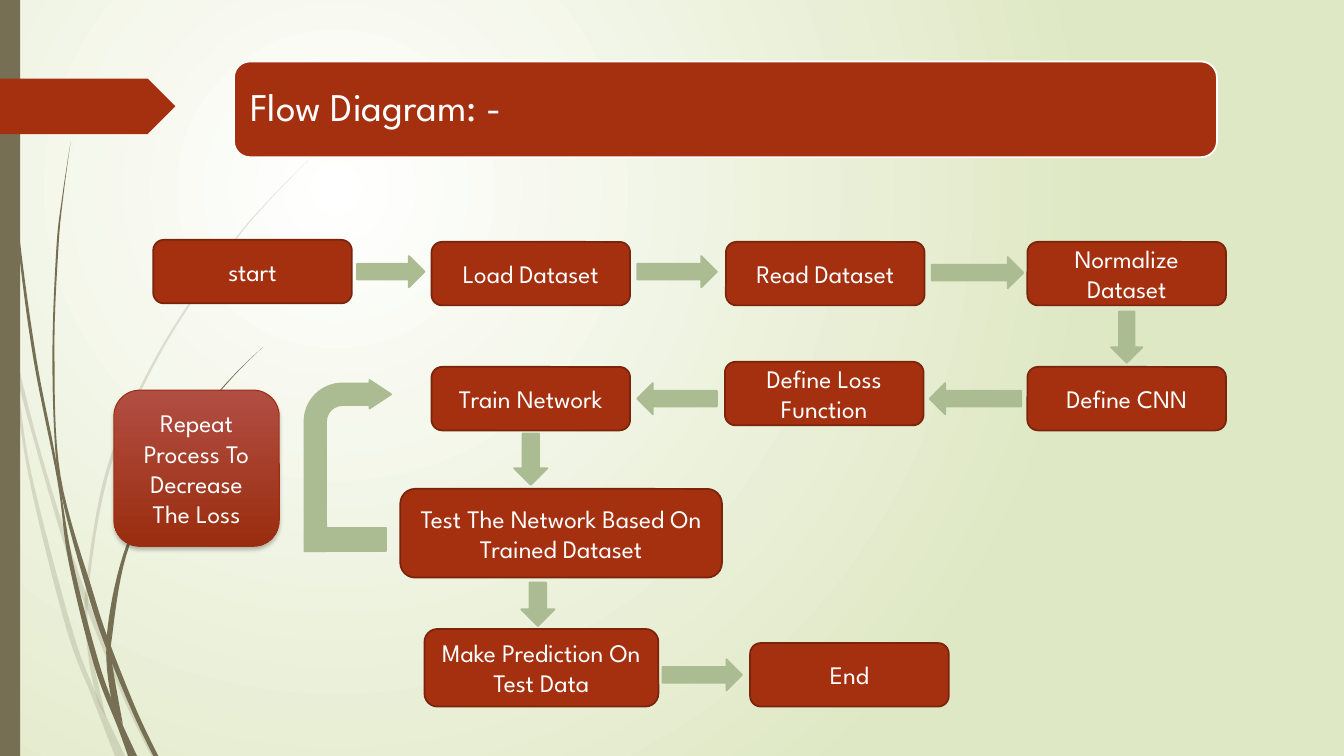
from typing import NamedTuple

from lxml import etree
from pptx import Presentation
from pptx.dml.color import RGBColor
from pptx.enum import shapes, text
from pptx.oxml import ns
from pptx.util import Inches, Pt

FONT = "League Spartan"
RUST, RUST_EDGE, SAGE, OLIVE, WHITE = "A53010", "7A240C", "ACBC92", "766F54", "FFFFFF"
STEP_W, STEP_H = 1.97, 0.63
Geometry = shapes.MSO_SHAPE
Point = tuple[float, float]


class Step(NamedTuple):
    label: str
    left: float
    top: float
    width: float = STEP_W
    height: float = STEP_H


class Arrow(NamedTuple):
    geometry: Geometry
    left: float
    top: float
    width: float
    height: float
    adjustments: tuple[float, ...] = ()


class Strand(NamedTuple):
    left_edge: list[Point]
    right_edge: list[Point]
    opacity: int


STRANDS = [
    Strand([(0, 2.99), (0.17, 3.76), (0.58, 5.22), (0.84, 5.99), (1.23, 6.94), (1.5, 7.5)],
           [(0, 2.82), (0.14, 3.45), (0.36, 4.33), (0.62, 5.2), (0.88, 5.96), (1.27, 6.92),
            (1.55, 7.5)], 20),
    Strand([(0.11, 3.5), (0.28, 4.7), (0.65, 6.21), (0.92, 6.93), (1.14, 7.5)],
           [(0.11, 3.5), (0.17, 3.76), (0.31, 4.69), (0.7, 6.19), (0.93, 6.83), (1.24, 7.5)], 20),
    Strand([(3.12, 1.53), (2.68, 1.97), (2.28, 2.44), (1.58, 3.48), (1.07, 4.61), (0.85, 5.84),
            (0.87, 6.46), (0.96, 6.92), (1.05, 7.11)],
           [(3.12, 1.53), (2.68, 1.98), (2.29, 2.45), (1.6, 3.49), (1.1, 4.62), (0.88, 5.84),
            (0.91, 6.46), (1.05, 7.11)], 20),
    Strand([(0.03, 0), (0.07, 1.1), (0.17, 2.33), (0.33, 3.55), (0.57, 4.77), (0.68, 5.57),
            (0.93, 6.59), (1.17, 7.22), (1.27, 7.5)],
           [(0.04, 0), (0.08, 1.09), (0.19, 2.32), (0.36, 3.55), (0.55, 4.53), (0.72, 5.56),
            (0.98, 6.57), (1.16, 7.06), (1.36, 7.5)], 100),
    Strand([(0.7, 1.41), (0.62, 1.93), (0.56, 2.45), (0.52, 3.49), (0.55, 4.49), (0.64, 5.05),
            (0.88, 5.92), (1.06, 6.45), (1.32, 7.08), (1.52, 7.5)],
           [(0.7, 1.41), (0.63, 1.93), (0.58, 2.45), (0.54, 3.49), (0.6, 4.72), (0.93, 5.9),
            (1.1, 6.41), (1.36, 7.06), (1.57, 7.5)], 100),
    Strand([(2.61, 3.44), (2.31, 3.73), (2.04, 4.05), (1.56, 4.74), (1.22, 5.51), (1.06, 6.31),
            (1.1, 6.91), (1.22, 7.19)],
           [(2.61, 3.44), (2.31, 3.74), (2.05, 4.06), (1.58, 4.76), (1.25, 5.52), (1.11, 6.33),
            (1.11, 6.56), (1.22, 7.19)], 100),
]

STEPS = [
    Step("start", 1.52, 2.38),
    Step("Load Dataset", 4.28, 2.4),
    Step("Read Dataset", 7.2, 2.4),
    Step("Normalize Dataset", 10.19, 2.4),
    Step("Define CNN", 10.19, 3.64),
    Step("Define Loss Function", 7.19, 3.59),
    Step("Train Network", 4.28, 3.64),
    Step("Test The Network Based On Trained Dataset", 3.97, 4.85, 3.19, 0.88),
    Step("Make Prediction On Test Data", 4.21, 6.24, 2.32, 0.77),
    Step("End", 7.44, 6.38),
]
REPEAT = Step("Repeat Process To Decrease The Loss", 1.13, 3.87, 1.64, 1.55)

ARROWS = [
    Arrow(Geometry.BENT_ARROW, 3.02, 3.77, 0.86, 1.7, (0.25, 0.165, 0.25, 0.438)),
    Arrow(Geometry.MATH_MINUS, 2.94, 4.86, 1.02, 0.98),
    Arrow(Geometry.RIGHT_ARROW, 3.54, 2.54, 0.67, 0.31),
    Arrow(Geometry.RIGHT_ARROW, 6.32, 2.54, 0.79, 0.31),
    Arrow(Geometry.RIGHT_ARROW, 9.24, 2.55, 0.91, 0.31),
    Arrow(Geometry.DOWN_ARROW, 11.02, 3.09, 0.31, 0.51),
    Arrow(Geometry.LEFT_ARROW, 9.22, 3.8, 0.91, 0.31),
    Arrow(Geometry.LEFT_ARROW, 6.32, 3.8, 0.79, 0.31),
    Arrow(Geometry.DOWN_ARROW, 5.1, 4.3, 0.33, 0.51),
    Arrow(Geometry.DOWN_ARROW, 5.17, 5.78, 0.33, 0.43),
    Arrow(Geometry.RIGHT_ARROW, 6.57, 6.54, 0.79, 0.31),
]


def rgb(value: str) -> RGBColor:
    return RGBColor.from_string(value)


def add_child(parent, tag: str, **attributes):
    return etree.SubElement(parent, ns.qn(tag), {k: str(v) for k, v in attributes.items()})


def paint(shape, fill: str, line: str | None = None, weight: float = 1.25) -> None:
    shape.shadow.inherit = False
    shape.fill.solid()
    shape.fill.fore_color.rgb = rgb(fill)
    if line is None:
        shape.line.fill.background()
    else:
        shape.line.color.rgb = rgb(line)
        shape.line.width = Pt(weight)


def add_preset(slide, geometry: Geometry, left: float, top: float, width: float, height: float):
    return slide.shapes.add_shape(geometry, *map(Inches, (left, top, width, height)))


def write(shape, words: str, size: float, align: text.PP_ALIGN) -> None:
    frame = shape.text_frame
    frame.text = words
    frame.word_wrap = True
    frame.vertical_anchor = text.MSO_ANCHOR.MIDDLE
    paragraph = frame.paragraphs[0]
    paragraph.alignment = align
    font = paragraph.runs[0].font
    font.name, font.size = FONT, Pt(size)
    font.color.rgb = rgb(WHITE)


def set_gradient(fill, start: str, end: str) -> None:
    fill.gradient()
    for stop, color in zip(fill.gradient_stops, (start, end)):
        stop.color.rgb = rgb(color)


def smooth(points: list[Point], parts: int = 8) -> list[Point]:
    padded = [points[0], *points, points[-1]]
    curve = []
    for a, b, c, d in zip(padded, padded[1:], padded[2:], padded[3:]):
        for t in (i / parts for i in range(parts)):
            curve.append(tuple(
                q + 0.5 * t * (r - p + t * (2 * p - 5 * q + 4 * r - s + t * (3 * (q - r) + s - p)))
                for p, q, r, s in zip(a, b, c, d)))
    return [*curve, points[-1]]


def add_strand(slide, strand: Strand) -> None:
    outline = [(Inches(x), Inches(y))
               for x, y in smooth(strand.left_edge) + smooth(strand.right_edge)[::-1]]
    builder = slide.shapes.build_freeform(*outline[0])
    builder.add_line_segments(outline[1:], close=True)
    blade = builder.convert_to_shape()
    paint(blade, OLIVE)
    color = blade._element.spPr.find(ns.qn("a:solidFill"))[0]
    add_child(color, "a:alpha", val=strand.opacity * 1000)


def add_step(slide, step: Step):
    box = add_preset(slide, Geometry.ROUNDED_RECTANGLE, *step[1:])
    paint(box, RUST, RUST_EDGE)
    write(box, step.label, 18, text.PP_ALIGN.CENTER)
    return box


def add_arrow(slide, arrow: Arrow) -> None:
    shape = add_preset(slide, arrow.geometry, *arrow[1:5])
    for index, value in enumerate(arrow.adjustments):
        shape.adjustments[index] = value
    paint(shape, SAGE, SAGE)


def add_repeat_card(slide) -> None:
    card = add_step(slide, REPEAT)
    set_gradient(card.fill, "B14E43", "9A2D0F")
    card.fill.gradient_angle = 270
    card.line.color.rgb = rgb("9E2E0F")
    card.line.width = Pt(0.75)
    effects = card._element.spPr.find(ns.qn("a:effectLst"))
    shadow = add_child(effects, "a:outerShdw", blurRad=Pt(3), dist=Pt(2), dir=5400000,
                       rotWithShape=0)
    add_child(add_child(shadow, "a:srgbClr", val="000000"), "a:alpha", val=25000)


def add_background(slide) -> None:
    fill = slide.background.fill
    set_gradient(fill, WHITE, "DFE8C4")
    gradient = slide._element.find(".//" + ns.qn("a:gradFill"))
    gradient.remove(gradient.find(ns.qn("a:lin")))
    circle = add_child(gradient, "a:path", path="circle")
    add_child(circle, "a:fillToRect", l=50000, t=50000, r=100000, b=100000)


def add_title(slide) -> None:
    panel = add_preset(slide, Geometry.ROUNDED_RECTANGLE, 2.32, 0.61, 9.75, 0.95)
    paint(panel, RUST, WHITE)
    title = slide.shapes.title
    title.left, title.top, title.width, title.height = map(Inches, (2.36, 0.65, 9.67, 0.85))
    write(title, "Flow Diagram: -", 28, text.PP_ALIGN.LEFT)
    frame = title.text_frame
    frame.auto_size = text.MSO_AUTO_SIZE.NONE
    frame.margin_left = frame.margin_right = frame.margin_top = frame.margin_bottom = Inches(0.12)
    frame.paragraphs[0].line_spacing = 0.9
    panel._element.addnext(title._element)


deck = Presentation()
deck.slide_width, deck.slide_height = Inches(13.33), Inches(7.5)
flow = deck.slides.add_slide(deck.slide_layouts[5])
add_background(flow)
for strand in STRANDS:
    add_strand(flow, strand)
paint(add_preset(flow, Geometry.RECTANGLE, 0, 0, 0.2, 7.5), OLIVE)
paint(add_preset(flow, Geometry.PENTAGON, 0, 0.78, 1.74, 0.55), RUST)
add_title(flow)
for step in STEPS:
    add_step(flow, step)
for arrow in ARROWS:
    add_arrow(flow, arrow)
add_repeat_card(flow)
deck.save("out.pptx")
